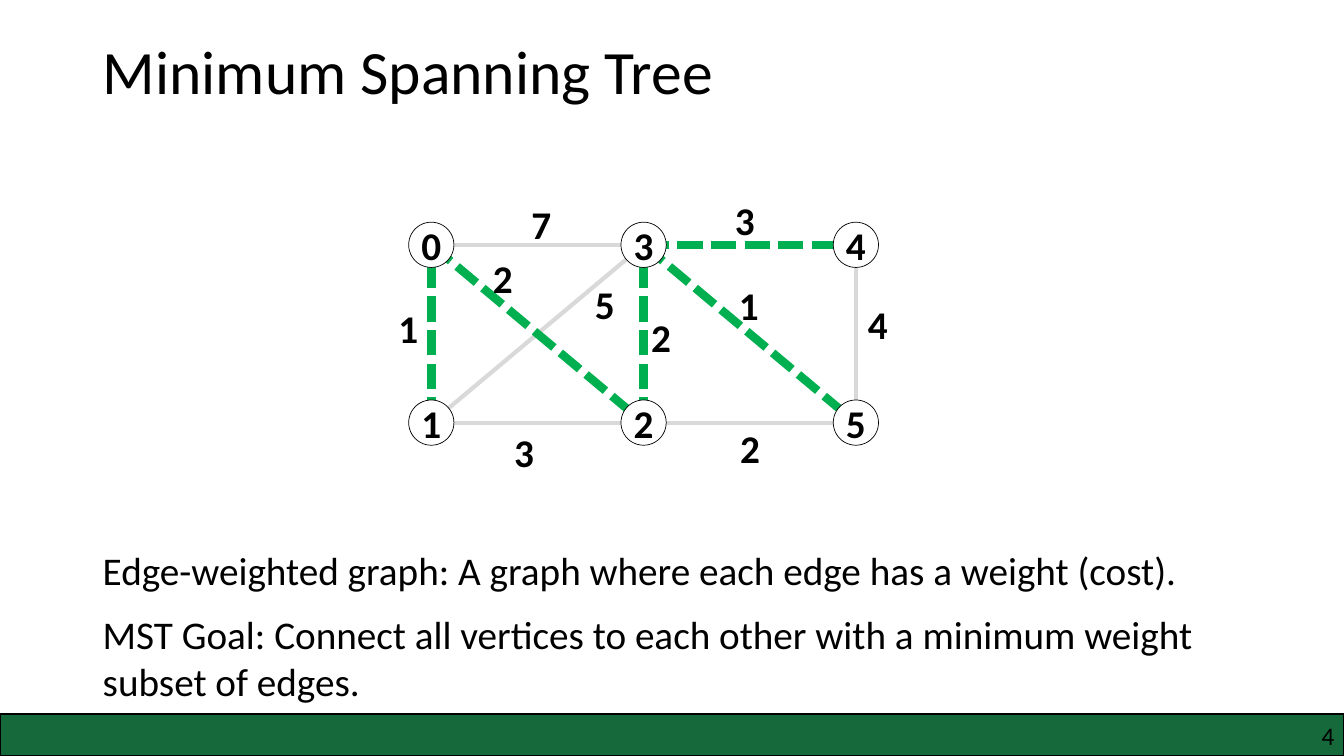
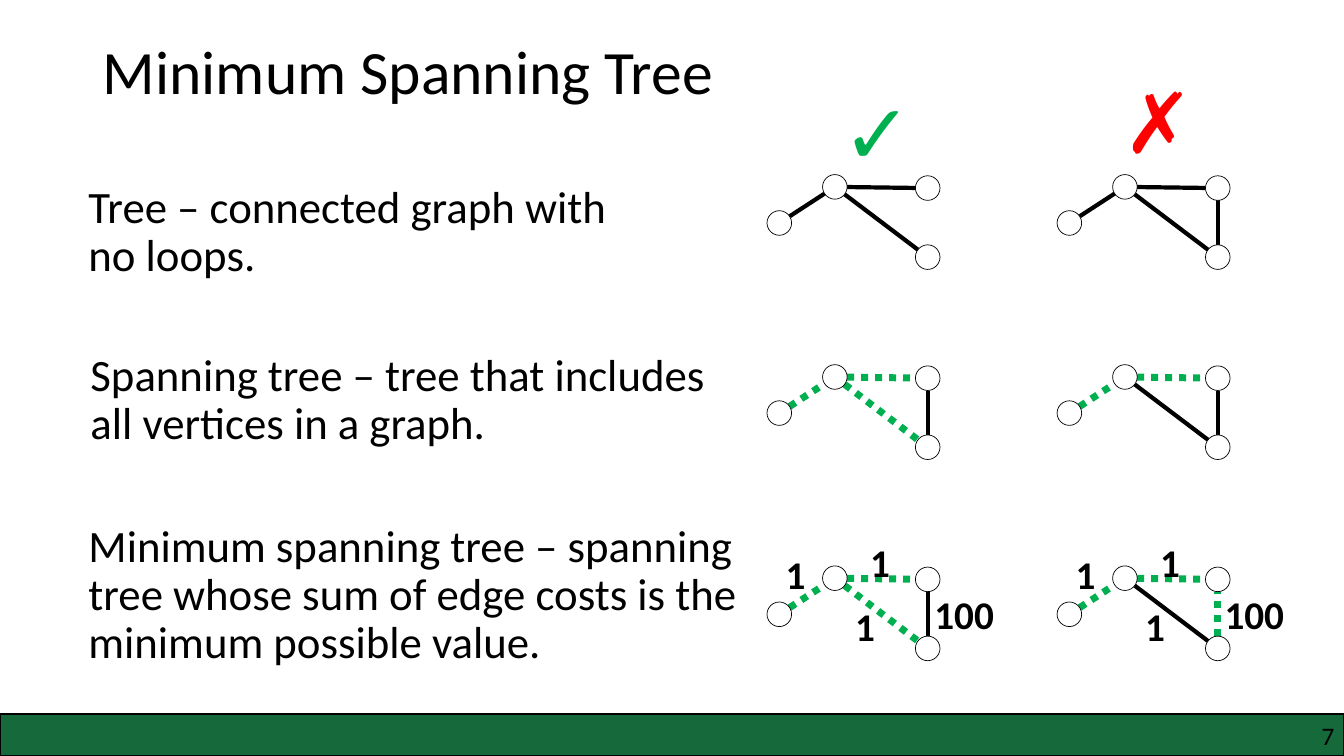
import math

from lxml import etree
from pptx import Presentation
from pptx.dml.color import RGBColor
from pptx.enum.dml import MSO_LINE
from pptx.enum.shapes import MSO_CONNECTOR, MSO_SHAPE
from pptx.enum.text import MSO_ANCHOR, PP_ALIGN
from pptx.oxml.ns import qn
from pptx.util import Cm, Pt

STRAIGHT = MSO_CONNECTOR.STRAIGHT
RECTANGLE, OVAL = MSO_SHAPE.RECTANGLE, MSO_SHAPE.OVAL
TOP, MIDDLE = MSO_ANCHOR.TOP, MSO_ANCHOR.MIDDLE
LEFT, CENTER, RIGHT = PP_ALIGN.LEFT, PP_ALIGN.CENTER, PP_ALIGN.RIGHT
DASH, DOT = MSO_LINE.SQUARE_DOT, MSO_LINE.ROUND_DOT

BLACK, WHITE, GREY = "000000", "FFFFFF", "D9D9D9"
GREEN, RED, BAND_GREEN = "00B050", "FF0000", "15693B"
FONT = "Calibri"
SLIDE_W, SLIDE_H = 33.87, 19.05
BAND_H = 1.06
INSET_X, INSET_Y = 0.25, 0.13

# Edge styles: colour, width in points, dash
UNUSED = (GREY, 3, None)
CHOSEN = (GREEN, 6, MSO_LINE.SQUARE_DOT)
PLAIN = (BLACK, 3, None)
IN_TREE = (GREEN, 5, MSO_LINE.ROUND_DOT)


def rgb(color):
    return RGBColor.from_string(color)


def write(frame, paragraphs, size, color=BLACK, font=FONT, bold=False,
          align=LEFT, anchor=TOP, spacing=1.0, gap=0, inset=True, wrap=True):
    """Fill a text frame; gap is the space between paragraphs in points."""
    frame.text = "\n".join(paragraphs)
    frame.word_wrap = wrap
    frame.vertical_anchor = anchor
    frame.margin_left = frame.margin_right = Cm(INSET_X if inset else 0)
    frame.margin_top = frame.margin_bottom = Cm(INSET_Y if inset else 0)
    for index, paragraph in enumerate(frame.paragraphs):
        paragraph.alignment = align
        paragraph.line_spacing = spacing
        paragraph.space_before = Pt(gap if index else 0)
        for run in paragraph.runs:
            run.font.name = font
            run.font.size = Pt(size)
            run.font.bold = bold
            run.font.color.rgb = rgb(color)


def add_text(shapes, paragraphs, left, top, width, height, size, **style):
    box = shapes.add_textbox(Cm(left), Cm(top), Cm(width), Cm(height))
    write(box.text_frame, paragraphs, size, **style)


def add_filled(shapes, kind, left, top, width, height, fill, line_width):
    shape = shapes.add_shape(kind, Cm(left), Cm(top), Cm(width), Cm(height))
    shape.shadow.inherit = False
    shape.fill.solid()
    shape.fill.fore_color.rgb = rgb(fill)
    shape.line.color.rgb = rgb(BLACK)
    shape.line.width = Pt(line_width)
    return shape


def add_edge(shapes, start, end, style, trim):
    """Join two points, leaving out the length trim at both ends."""
    color, width, dash = style
    (x1, y1), (x2, y2) = start, end
    length = math.hypot(x2 - x1, y2 - y1)
    dx, dy = (x2 - x1) * trim / length, (y2 - y1) * trim / length
    edge = shapes.add_connector(STRAIGHT, Cm(x1 + dx), Cm(y1 + dy),
                                Cm(x2 - dx), Cm(y2 - dy))
    edge.line.color.rgb = rgb(color)
    edge.line.width = Pt(width)
    if dash is not None:
        edge.line.dash_style = dash
    properties = edge.line._get_or_add_ln().getparent()
    etree.SubElement(properties, qn("a:effectLst"))


def add_graph(slide, vertices, edges, weights, diameter, trim=0, labelled=False):
    """Draw edges, then vertices over them, then the edge weights."""
    shapes = slide.shapes.add_group_shape().shapes
    for start, end, style in edges:
        add_edge(shapes, vertices[start], vertices[end], style, trim)
    for name, (x, y) in vertices.items():
        vertex = add_filled(shapes, OVAL, x - diameter / 2, y - diameter / 2,
                            diameter, diameter, WHITE, 0.5)
        if labelled:
            write(vertex.text_frame, [name], 28, bold=True, align=CENTER,
                  anchor=MIDDLE, inset=False, wrap=False)
    width, height = 2.2, 1.45
    for weight, x, y in weights:
        add_text(shapes, [weight], x - width / 2, y - height / 2, width, height,
                 28, bold=True, align=CENTER, anchor=MIDDLE)


def add_titled_slide(prs, number):
    slide = prs.slides.add_slide(prs.slide_layouts[6])
    add_text(slide.shapes, ["Minimum Spanning Tree"], 2.34, 0.05, 29.21, 3.68,
             44, anchor=MIDDLE, spacing=0.9)
    add_filled(slide.shapes, RECTANGLE, 0, SLIDE_H - BAND_H, SLIDE_W, BAND_H,
               BAND_GREEN, 1)
    add_text(slide.shapes, [number], 25.83, 18.16, 7.8, 0.76, 18,
             align=RIGHT, inset=False)
    return slide


def add_goal_slide(prs):
    slide = add_titled_slide(prs, "4")
    left, middle, right = (10.87 + 5.35 * column for column in range(3))
    upper, lower = 6.17, 10.65
    vertices = {"0": (left, upper), "1": (left, lower), "2": (middle, lower),
                "3": (middle, upper), "4": (right, upper), "5": (right, lower)}
    edges = [("3", "1", UNUSED), ("1", "0", CHOSEN), ("5", "4", UNUSED),
             ("2", "3", CHOSEN), ("0", "3", UNUSED), ("1", "2", UNUSED),
             ("3", "4", CHOSEN), ("2", "5", UNUSED), ("0", "2", CHOSEN),
             ("3", "5", CHOSEN)]
    weights = [("1", 10.29, 8.27), ("1", 18.87, 7.68), ("4", 22.12, 8.17),
               ("3", 13.21, 11.39), ("2", 18.9, 11.29), ("5", 15.24, 7.66),
               ("2", 12.67, 7.0), ("7", 13.64, 5.65), ("3", 18.77, 5.55),
               ("2", 16.66, 8.5)]
    add_graph(slide, vertices, edges, weights, 1.14, labelled=True)
    add_text(slide.shapes, [
        "Edge-weighted graph: A graph where each edge has a weight (cost).",
        "MST Goal: Connect all vertices to each other with a minimum weight "
        "subset of edges."], 2.34, 13.64, 29.62, 4.27, 28, gap=12.2)


def add_example(slide, hub_x, hub_y, styles, weighted):
    """Draw a four-vertex graph; styles belong to the edges in fixed order."""
    offsets = {"leaf": (-1.4, 0.91), "corner": (2.34, 0.03),
               "low": (2.34, 1.77), "hub": (0, 0)}
    vertices = {name: (hub_x + dx, hub_y + dy)
                for name, (dx, dy) in offsets.items()}
    ends = [("leaf", "hub"), ("hub", "corner"), ("hub", "low"), ("low", "corner")]
    edges = [(*pair, style) for pair, style in zip(ends, styles) if style]
    costs = [("1", -0.99, -0.11), ("1", 1.14, -0.42),
             ("1", 0.76, 1.21), ("100", 3.26, 0.9)]
    weights = [(cost, hub_x + dx, hub_y + dy) for cost, dx, dy in costs]
    diameter = 0.62
    add_graph(slide, vertices, edges, weights if weighted else [],
              diameter, trim=diameter / 2)


def add_definitions_slide(prs):
    slide = add_titled_slide(prs, "7")
    definitions = [
        ("Tree – connected graph with no loops.", 1.98, 4.52, 14.63, 1.52),
        ("Spanning tree – tree that includes all vertices in a graph.",
         2.03, 8.76, 17.07, 2.69),
        ("Minimum spanning tree – spanning tree whose sum of edge costs is the "
         "minimum possible value.", 1.98, 13.06, 17.07, 4.24)]
    for definition, *place in definitions:
        add_text(slide.shapes, [definition], *place, 32, spacing=0.9)

    marks = [("✓", GREEN, 20.98, 1.9), ("✗", RED, 28.07, 1.63)]
    for mark, color, left, top in marks:
        add_text(slide.shapes, [mark], left, top, 3.66, 2.82, 60,
                 color=color, font="Arial", bold=True)

    right_x, wrong_x = 21.04, 28.35
    rows = [
        (4.71, [PLAIN, PLAIN, PLAIN, None], [PLAIN] * 4, False),
        (9.5, [IN_TREE, IN_TREE, IN_TREE, PLAIN],
         [IN_TREE, IN_TREE, PLAIN, PLAIN], False),
        (14.57, [IN_TREE, IN_TREE, IN_TREE, PLAIN],
         [IN_TREE, IN_TREE, PLAIN, IN_TREE], True)]
    for hub_y, right_styles, wrong_styles, weighted in rows:
        add_example(slide, right_x, hub_y, right_styles, weighted)
        add_example(slide, wrong_x, hub_y, wrong_styles, weighted)


def main():
    prs = Presentation()
    prs.slide_width, prs.slide_height = Cm(SLIDE_W), Cm(SLIDE_H)
    add_goal_slide(prs)
    add_definitions_slide(prs)
    prs.save("out.pptx")


if __name__ == "__main__":
    main()
